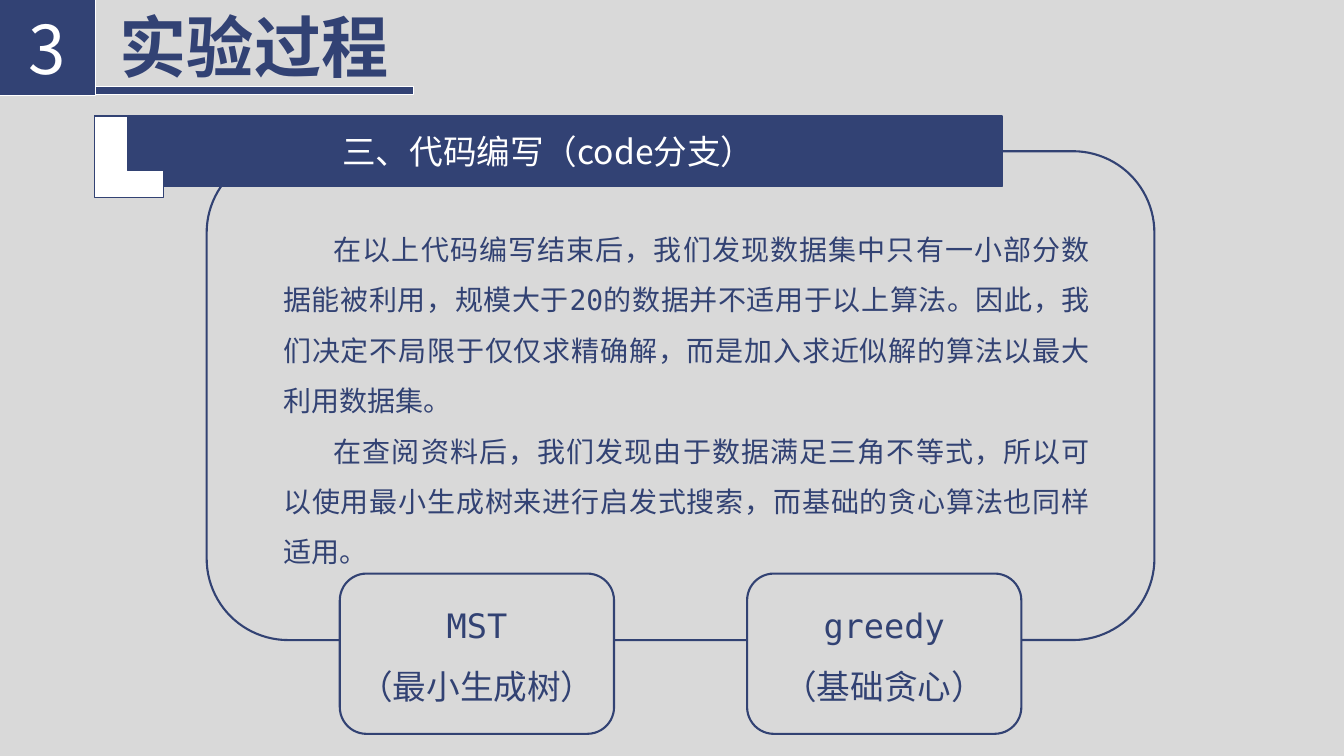
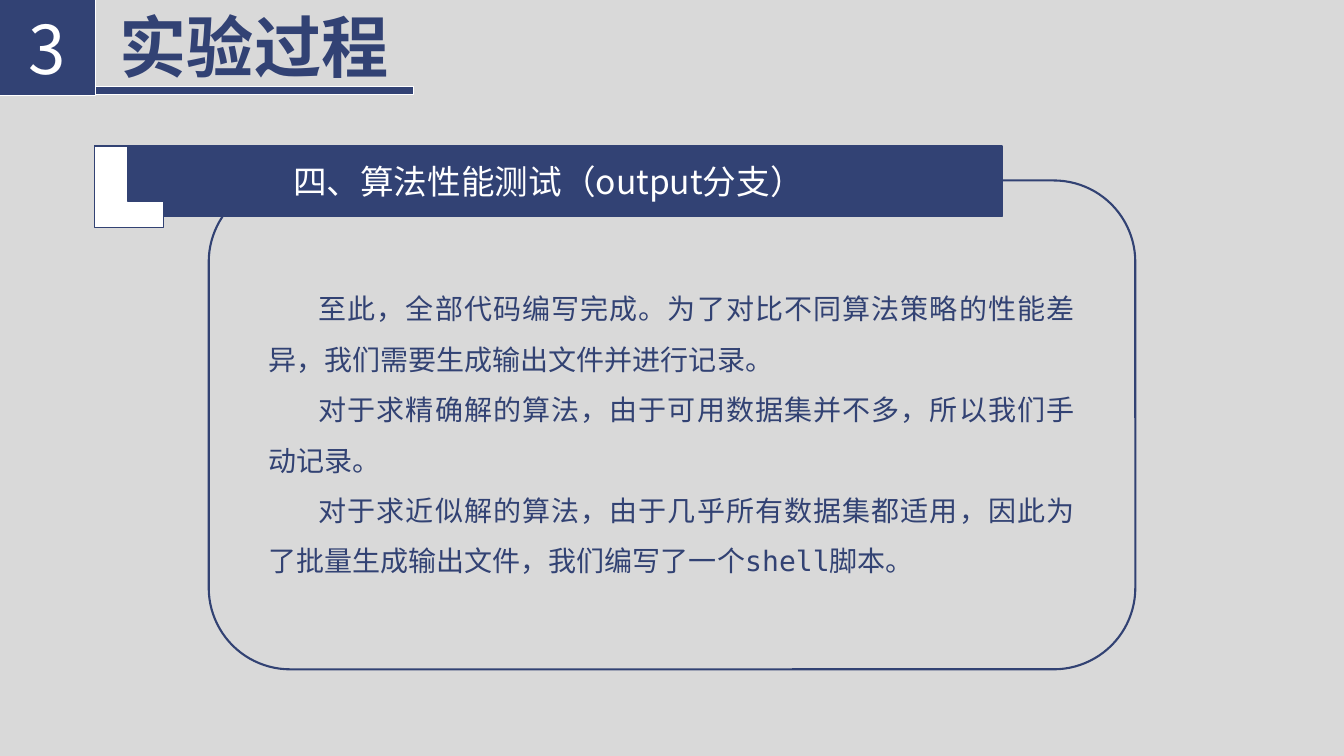
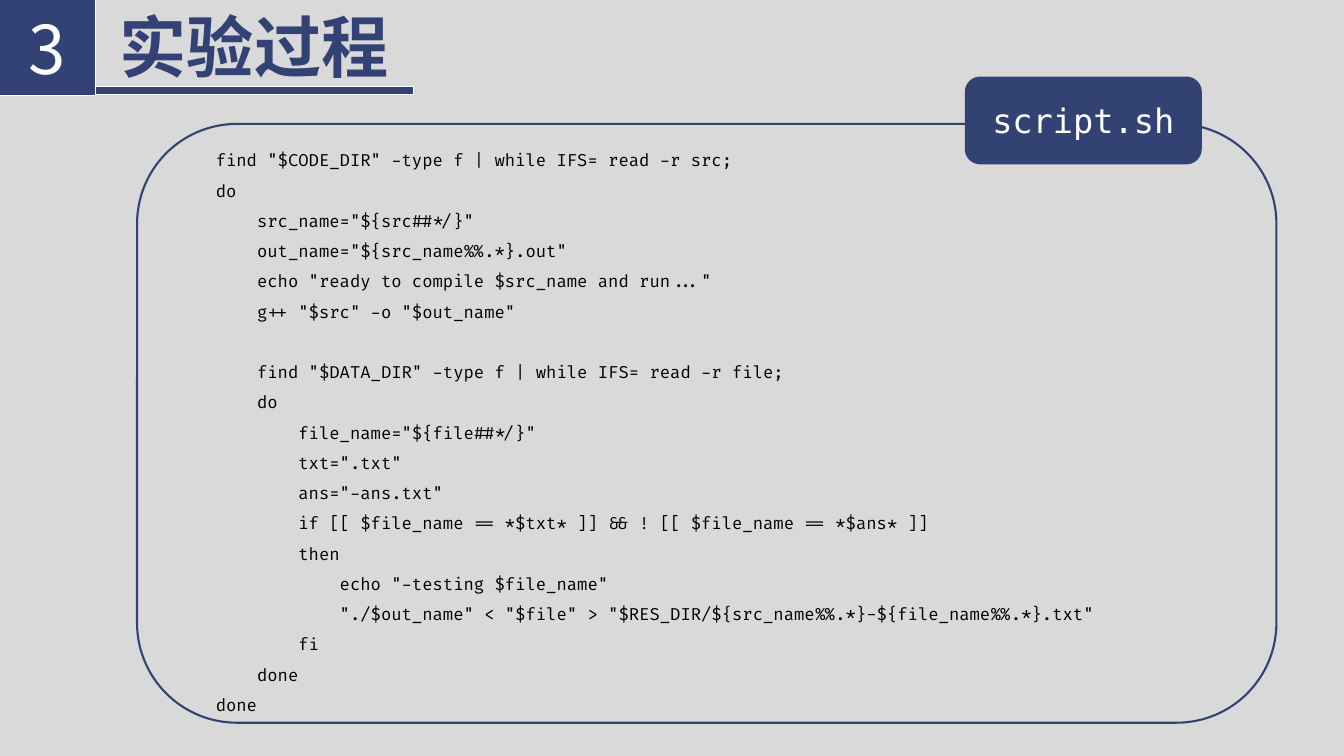
from lxml import etree
from pptx import Presentation
from pptx.dml.color import RGBColor
from pptx.enum.shapes import MSO_SHAPE
from pptx.enum.text import MSO_ANCHOR, MSO_AUTO_SIZE, PP_ALIGN
from pptx.oxml.ns import qn
from pptx.util import Inches, Pt

RECT, ROUND, CORNER = MSO_SHAPE.RECTANGLE, MSO_SHAPE.ROUNDED_RECTANGLE, MSO_SHAPE.CORNER
TOP, MIDDLE = MSO_ANCHOR.TOP, MSO_ANCHOR.MIDDLE
CENTER, LEFT, JUSTIFY = PP_ALIGN.CENTER, PP_ALIGN.LEFT, PP_ALIGN.JUSTIFY
GROW = MSO_AUTO_SIZE.SHAPE_TO_FIT_TEXT

NAVY = RGBColor(0x32, 0x42, 0x74)
INK = RGBColor(0x32, 0x42, 0x73)
WHITE = RGBColor(0xFF, 0xFF, 0xFF)
BLACK = RGBColor(0, 0, 0)
GRAY = RGBColor(0xD9, 0xD9, 0xD9)
SANS, MONO, FIRA = "Noto Sans CJK SC", "DejaVu Sans Mono", "Fira Code"

# Text styles: font values, paragraph values, colour
STYLES = {
    "number": ({"name": SANS, "size": Pt(48)}, {"alignment": CENTER}, WHITE),
    "title": ({"name": SANS, "size": Pt(48), "bold": True}, {"alignment": CENTER}, NAVY),
    "band": ({"name": SANS, "size": Pt(24)}, {"alignment": CENTER}, WHITE),
    "body": ({"name": MONO, "size": Pt(20)}, {"alignment": JUSTIFY, "line_spacing": 1.5}, INK),
    "card": ({"name": MONO, "size": Pt(24)}, {"alignment": CENTER, "line_spacing": 1.5}, INK),
    "tag": ({"name": MONO, "size": Pt(24)}, {"alignment": CENTER}, WHITE),
    "code": ({"name": FIRA, "size": Pt(12)}, {"alignment": LEFT, "line_spacing": 1.5}, BLACK),
}

# Content
NUMBER, TITLE = "3", "实验过程"
TOPICS = [
    {
        "head": "三、代码编写（code分支）",
        "top": 1.15,
        "panel": (2.05, 1.5, 9.4, 4.85),
        "box": (2.71, 2.09, 8.2, 3.58),
        "body": [
            "在以上代码编写结束后，我们发现数据集中只有一小部分数据能被利用，规模大于20的数据并不适用于以上算法。因此，我们决定不局限于仅仅求精确解，而是加入求近似解的算法以最大利用数据集。",
            "在查阅资料后，我们发现由于数据满足三角不等式，所以可以使用最小生成树来进行启发式搜索，而基础的贪心算法也同样适用。",
        ],
        "cards": [["MST", "（最小生成树）"], ["greedy", "（基础贪心）"]],
    },
    {
        "head": "四、算法性能测试（output分支）",
        "top": 1.45,
        "panel": (2.07, 1.79, 9.19, 4.85),
        "box": (2.56, 2.68, 8.2, 3.08),
        "body": [
            "至此，全部代码编写完成。为了对比不同算法策略的性能差异，我们需要生成输出文件并进行记录。",
            "对于求精确解的算法，由于可用数据集并不多，所以我们手动记录。",
            "对于求近似解的算法，由于几乎所有数据集都适用，因此为了批量生成输出文件，我们编写了一个shell脚本。",
        ],
        "cards": [],
    },
]
SCRIPT = "script.sh"
CODE = """find "$CODE_DIR" -type f | while IFS= read -r src;
do
    src_name="${src##*/}"
    out_name="${src_name%%.*}.out"
    echo "ready to compile $src_name and run..."
    g++ "$src" -o "$out_name"

    find "$DATA_DIR" -type f | while IFS= read -r file;
    do
        file_name="${file##*/}"
        txt=".txt"
        ans="-ans.txt"
        if [[ $file_name == *$txt* ]] && ! [[ $file_name == *$ans* ]]
        then
            echo "-testing $file_name"
            "./$out_name" < "$file" > "$RES_DIR/${src_name%%.*}-${file_name%%.*}.txt"
        fi
    done
done"""
CODE_LINE = Pt(21.6)


def assign(target, values):
    for key, value in values.items():
        setattr(target, key, value)


def place(shape, box):
    assign(shape, dict(zip(("left", "top", "width", "height"), map(Inches, box))))


def write(shape, lines, style, anchor=MIDDLE, indent=0):
    font, layout, color = STYLES[style]
    frame = shape.text_frame
    assign(frame, {"word_wrap": True, "vertical_anchor": anchor})
    for i, line in enumerate(lines):
        para = frame.paragraphs[0] if i == 0 else frame.add_paragraph()
        props = para._p.get_or_add_pPr()
        props.set("marL", "0")
        props.set("indent", str(Inches(indent)))
        etree.SubElement(props, qn("a:buNone"))
        assign(para, {**layout, "space_before": Pt(0)})
        run = para.add_run()
        run.text = line
        assign(run.font, font)
        run.font.color.rgb = color
        etree.SubElement(run.font._element, qn("a:ea"), typeface=SANS)
    return frame


def draw(slide, kind, box, fill, line, width):
    shape = slide.shapes.add_shape(kind, *map(Inches, box))
    shape.shadow.inherit = False
    if fill is None:
        shape.fill.background()
    else:
        shape.fill.solid()
        shape.fill.fore_color.rgb = fill
    shape.line.color.rgb = line
    shape.line.width = Pt(width)
    return shape


def start(deck, lines, box, style, indent=0):
    """Add a slide with the shared header and its body text."""
    slide = deck.slides.add_slide(deck.slide_layouts[1])
    title, body = slide.placeholders
    draw(slide, RECT, (-0.01, 0.86, 4.11, 0.08), NAVY, WHITE, 1)
    square = draw(slide, RECT, (-0.01, -0.01, 0.96, 0.96), NAVY, WHITE, 1)
    write(square, [NUMBER], "number")
    place(title, (0.94, 0, 3.16, 0.91))
    write(title, [TITLE], "title", TOP).auto_size = GROW
    place(body, box)
    write(body, lines, style, TOP, indent).auto_size = GROW
    return slide


def add_topic(deck, topic):
    slide = start(deck, topic["body"], topic["box"], "body", 0.5)
    draw(slide, ROUND, topic["panel"], None, INK, 1.5)
    # Heading band with its corner mark
    band = draw(slide, RECT, (0.94, topic["top"], 9, 0.7), NAVY, NAVY, 1)
    write(band, [topic["head"]], "band")
    mark = draw(slide, CORNER, (0.94, topic["top"], 0.68, 0.81), WHITE, INK, 1)
    for i, share in enumerate((0.39, 0.48)):
        mark.adjustments[i] = share
    # Cards on the lower edge of the panel
    for i, lines in enumerate(topic["cards"]):
        card = draw(slide, ROUND, (3.37 + 4.04 * i, 5.69, 2.72, 1.59), GRAY, INK, 1.5)
        frame = write(card, lines, "card")
        assign(frame, {"margin_left": 0, "margin_right": 0, "margin_bottom": Inches(0.21)})


def add_code(deck):
    blocks = [block.split("\n") for block in CODE.split("\n\n")]
    slide = start(deck, sum(blocks, []), (2.04, 1.34, 11.2, 5.83), "code")
    # One empty code line between the blocks
    body = slide.placeholders[1]
    body.text_frame.paragraphs[len(blocks[0])].space_before = CODE_LINE
    draw(slide, ROUND, (1.36, 1.23, 11.3, 5.94), None, INK, 1.5)
    tag = draw(slide, ROUND, (9.58, 0.77, 2.33, 0.85), INK, INK, 1.5)
    write(tag, [SCRIPT], "tag")


def main():
    deck = Presentation()
    assign(deck, {"slide_width": Inches(13.33), "slide_height": Inches(7.5)})
    back = deck.slide_master.background.fill
    back.solid()
    back.fore_color.rgb = GRAY
    for topic in TOPICS:
        add_topic(deck, topic)
    add_code(deck)
    deck.save("out.pptx")


if __name__ == "__main__":
    main()
